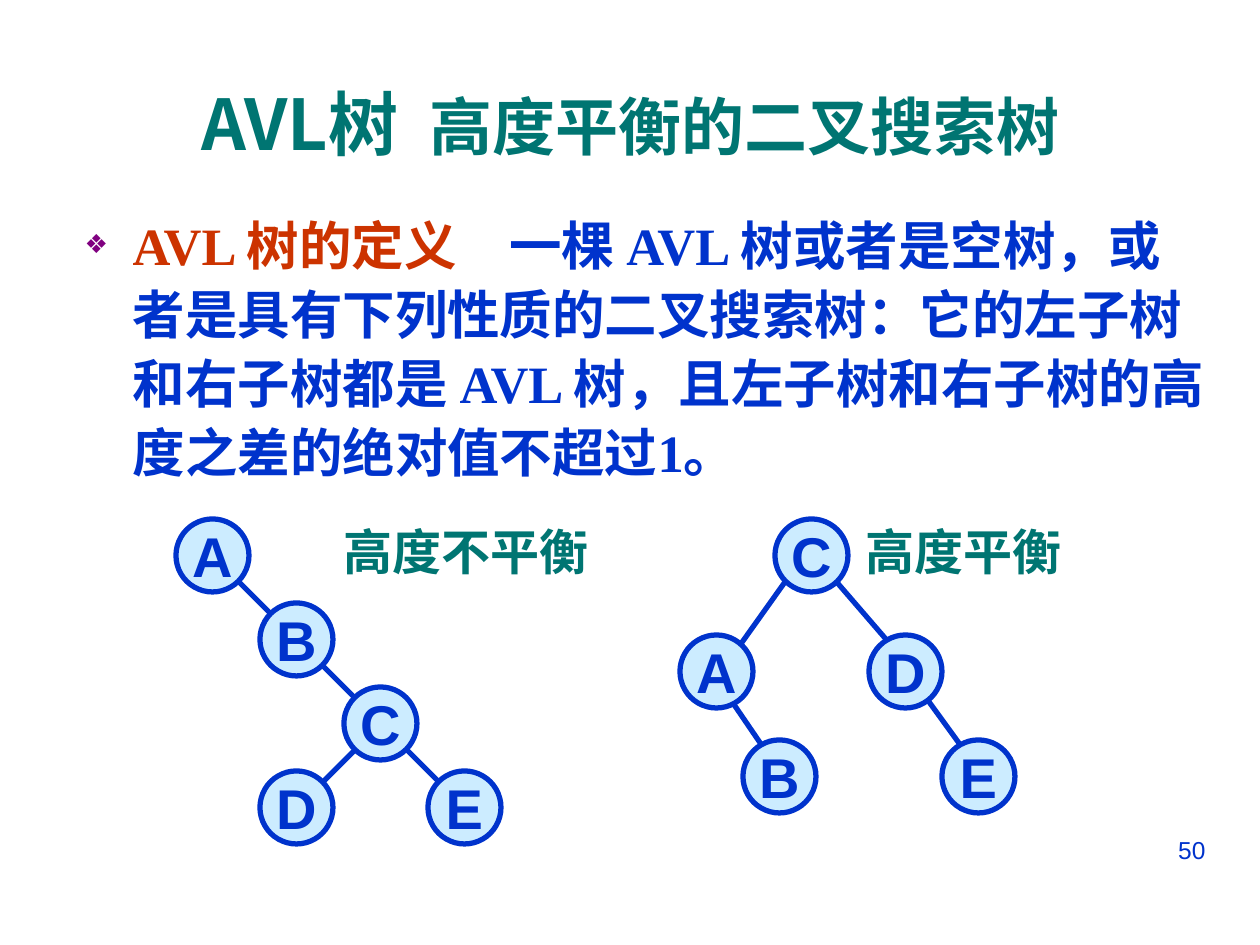
from lxml.etree import SubElement
from pptx import Presentation
from pptx.dml.color import RGBColor
from pptx.enum.shapes import MSO_CONNECTOR, MSO_SHAPE
from pptx.enum.text import MSO_ANCHOR, MSO_AUTO_SIZE, PP_ALIGN
from pptx.oxml.ns import qn
from pptx.util import Pt

PX = 914400 // 126
CJK = "Noto Sans CJK JP"
COLORS = {"teal": "007572", "blue": "0033CC", "red": "CC3300",
          "purple": "800080", "node": "CCECFF"}
NODE_SIZE = 73
LEFT_STEP = 84

TITLE = {"name": CJK, "size": Pt(40), "bold": True}
BODY = {"name": "Times New Roman", "size": Pt(30), "bold": True}
LABEL = {"name": "Times New Roman", "size": Pt(28), "bold": True}
LETTER = {"name": "Arial", "size": Pt(32), "bold": True}
NUMBER = {"name": "Arial", "size": Pt(14), "bold": False}

LEFT_NODES = [("A", 0, 0), ("B", 1, 1), ("C", 2, 2), ("D", 1, 3), ("E", 3, 3)]
RIGHT_NODES = [("C", 775, 519), ("A", 680, 635), ("D", 869, 635),
               ("B", 743, 740), ("E", 942, 740)]
LEFT_EDGES = [(218 + LEFT_STEP * step, 561 + LEFT_STEP * step,
               281 + LEFT_STEP * step, 624 + LEFT_STEP * step)
              for step in range(3)] + [(365, 740, 302, 803)]
RIGHT_EDGES = [(785, 582, 733, 655), (828, 572, 891, 645),
               (722, 687, 765, 750), (911, 677, 964, 750)]


def color(name):
    """Return the named colour."""
    return RGBColor.from_string(COLORS[name])


def set_values(target, values):
    """Set each attribute of the target from a dict."""
    for name, value in values.items():
        setattr(target, name, value)


def place(shape, left, top, width, height):
    """Move and size a shape in px."""
    set_values(shape, {"left": left * PX, "top": top * PX,
                       "width": width * PX, "height": height * PX})


def add_run(paragraph, text, values, color_name):
    """Add one formatted run with its East Asian font."""
    run = paragraph.add_run()
    run.text = text
    set_values(run.font, values)
    run.font.color.rgb = color(color_name)
    SubElement(run.font._element, qn("a:ea"), typeface=CJK)


def add_bullet(paragraph):
    """Give a paragraph a hanging purple bullet."""
    properties = paragraph._p.get_or_add_pPr()
    properties.set("marL", str(48 * PX))
    properties.set("indent", str(-48 * PX))
    bullet_color = SubElement(properties, qn("a:buClr"))
    SubElement(bullet_color, qn("a:srgbClr"), val=COLORS["purple"])
    SubElement(properties, qn("a:buSzPct"), val="50000")
    SubElement(properties, qn("a:buChar"), char="❖")


def add_title(slide):
    """Fill the title placeholder."""
    title = slide.shapes.title
    place(title, 154, 50, 953, 144)
    set_values(title.text_frame, {"word_wrap": True,
                                  "auto_size": MSO_AUTO_SIZE.NONE,
                                  "vertical_anchor": MSO_ANCHOR.MIDDLE})
    paragraph = title.text_frame.paragraphs[0]
    paragraph.alignment = PP_ALIGN.CENTER
    for text, size in [("AVL树", 40), ("　", 18), ("高度平衡的二叉搜索树", 36)]:
        add_run(paragraph, text, TITLE | {"size": Pt(size)}, "teal")


def add_definition(slide):
    """Fill the body placeholder with the definition."""
    body = slide.placeholders[1]
    place(body, 72, 195, 1134, 307)
    set_values(body.text_frame, {"word_wrap": True,
                                 "auto_size": MSO_AUTO_SIZE.NONE,
                                 "vertical_anchor": MSO_ANCHOR.TOP,
                                 "margin_top": 12 * PX, "margin_right": 0})
    paragraph = body.text_frame.paragraphs[0]
    add_bullet(paragraph)
    set_values(paragraph, {"alignment": PP_ALIGN.LEFT, "space_before": Pt(0),
                           "line_spacing": Pt(39.5)})
    add_run(paragraph, "AVL 树的定义　", BODY, "red")
    add_run(paragraph, "一棵 AVL 树或者是空树，或者是具有下列性质的二叉搜索树："
            "它的左子树和右子树都是 AVL 树，且左子树和右子树的高度之差的"
            "绝对值不超过1。", BODY, "blue")


def add_text(slide, text, box, values, color_name, alignment=PP_ALIGN.LEFT):
    """Add a one-line text box."""
    shape = slide.shapes.add_textbox(*(length * PX for length in box))
    shape.text_frame.word_wrap = True
    paragraph = shape.text_frame.paragraphs[0]
    paragraph.alignment = alignment
    add_run(paragraph, text, values, color_name)


def add_edge(slide, points):
    """Add a line between two tree nodes."""
    edge = slide.shapes.add_connector(MSO_CONNECTOR.STRAIGHT,
                                      *(point * PX for point in points))
    edge.line.color.rgb = color("blue")
    edge.line.width = Pt(3)
    SubElement(edge._element.spPr, qn("a:effectLst"))


def add_node(slide, letter, left, top):
    """Add a lettered circle."""
    node = slide.shapes.add_shape(MSO_SHAPE.OVAL, left * PX, top * PX,
                                  NODE_SIZE * PX, NODE_SIZE * PX)
    node.shadow.inherit = False
    node.fill.solid()
    node.fill.fore_color.rgb = color("node")
    node.line.color.rgb = color("blue")
    node.line.width = Pt(3)
    set_values(node.text_frame, {"word_wrap": False,
                                 "vertical_anchor": MSO_ANCHOR.MIDDLE})
    paragraph = node.text_frame.paragraphs[0]
    paragraph.alignment = PP_ALIGN.CENTER
    add_run(paragraph, letter, LETTER, "blue")


def main():
    """Build and save the slide."""
    presentation = Presentation()
    set_values(presentation, {"slide_width": 1260 * PX,
                              "slide_height": 945 * PX})
    slide = presentation.slides.add_slide(presentation.slide_layouts[1])
    add_title(slide)
    add_definition(slide)
    add_text(slide, "50", (903, 829, 315, 66), NUMBER, "blue", PP_ALIGN.RIGHT)
    add_text(slide, "高度不平衡", (331, 515, 290, 72), LABEL, "teal")
    add_text(slide, "高度平衡", (853, 515, 250, 72), LABEL, "teal")
    for points in LEFT_EDGES + RIGHT_EDGES:
        add_edge(slide, points)
    for letter, column, row in LEFT_NODES:
        add_node(slide, letter, 176 + LEFT_STEP * column, 519 + LEFT_STEP * row)
    for letter, left, top in RIGHT_NODES:
        add_node(slide, letter, left, top)
    presentation.save("out.pptx")


if __name__ == "__main__":
    main()
